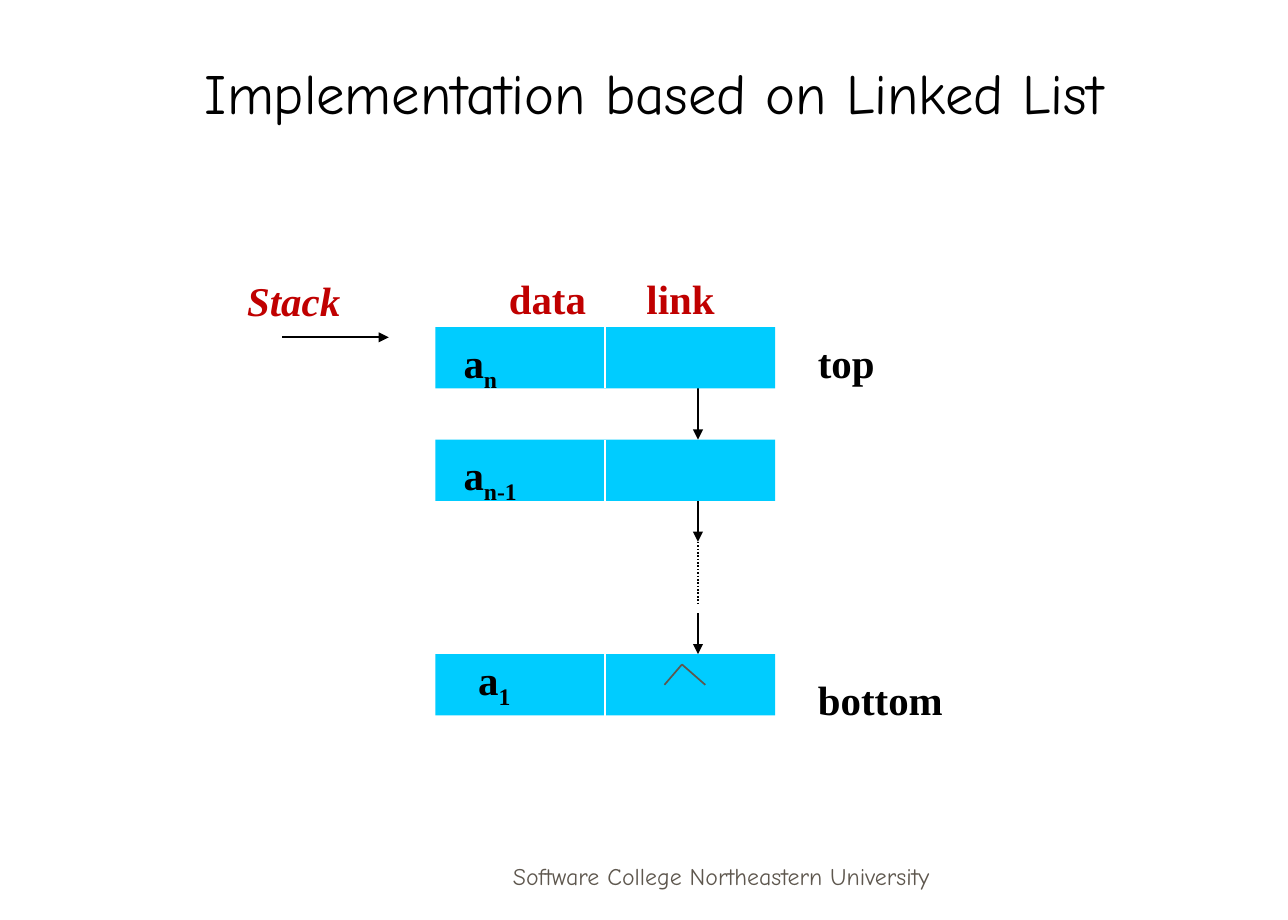
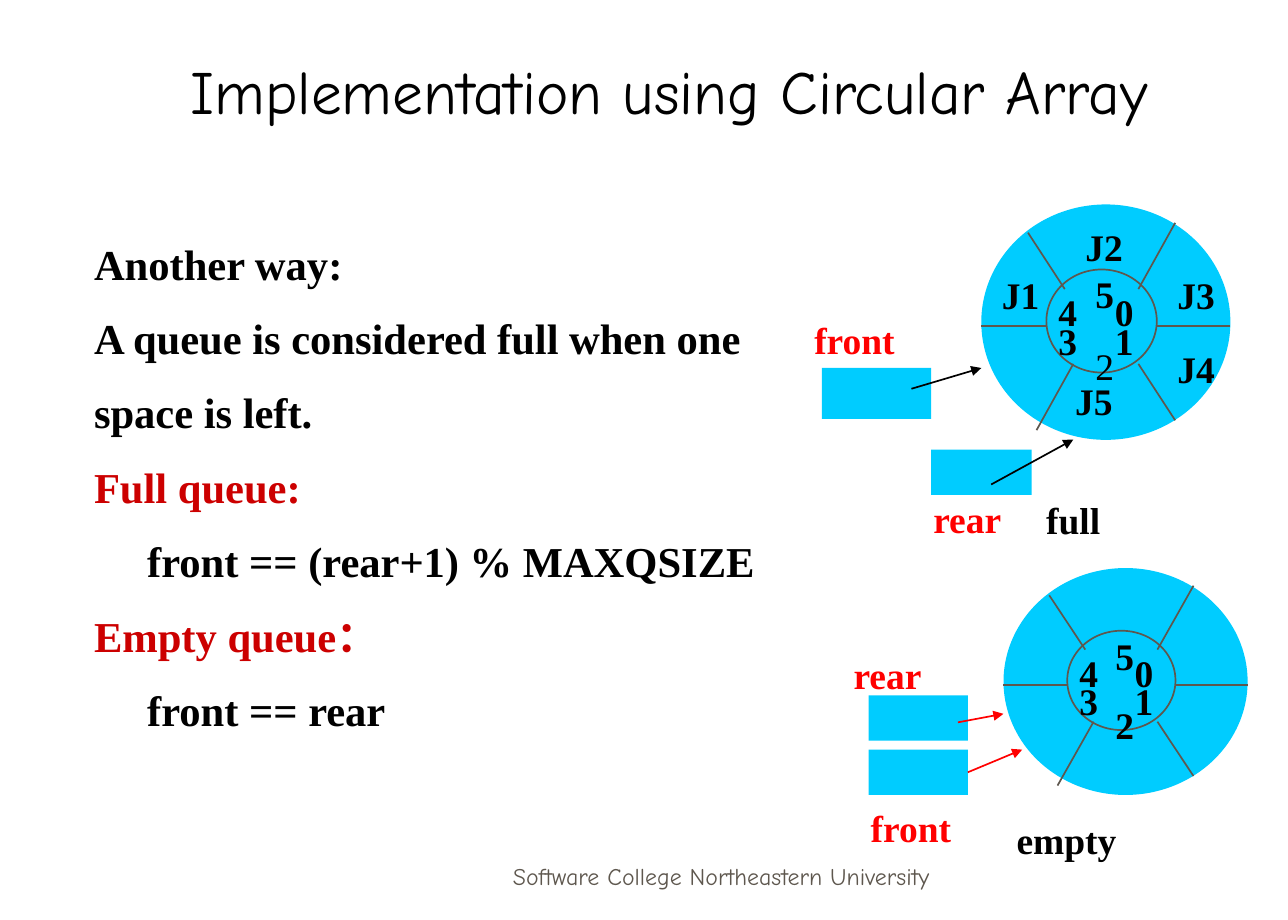
from dataclasses import dataclass
from typing import Optional

from lxml.etree import SubElement
from pptx import Presentation
from pptx.dml.color import RGBColor
from pptx.enum.dml import MSO_LINE
from pptx.enum.shapes import MSO_CONNECTOR, MSO_SHAPE
from pptx.enum.text import MSO_ANCHOR, MSO_AUTO_SIZE, PP_ALIGN
from pptx.oxml.ns import qn
from pptx.util import Pt

COMIC = "Comic Neue"
TIMES = "Times New Roman"
BLACK = "000000"
WHITE = "FFFFFF"
CYAN = "00CCFF"
GREY = "5E574E"
RED = "FF0000"
CRIMSON = "C00000"
HEADING_RED = "CC0000"

TITLE_ONLY = 5
TITLE_AND_CONTENT = 1


@dataclass(frozen=True)
class Box:
    left: float
    top: float
    width: float
    height: float

    def lengths(self) -> tuple:
        return Pt(self.left), Pt(self.top), Pt(self.width), Pt(self.height)


@dataclass(frozen=True)
class Line:
    x1: float
    y1: float
    x2: float
    y2: float
    color: str = BLACK
    arrow: bool = True
    dotted: bool = False


@dataclass(frozen=True)
class Label:
    text: str
    left: float
    top: float
    color: str = BLACK
    bold: bool = True
    italic: bool = False
    subscript: str = ""


@dataclass(frozen=True)
class Node:
    top: float
    label: Label


@dataclass(frozen=True)
class BodyLine:
    text: str
    color: str = BLACK
    indent: float = 0


FOOTER_BOX = Box(258.5, 490.3, 329.8, 36)
BODY_BOX = Box(48, 126, 540, 337.7)
NODE_LEFT, NODE_WIDTH, NODE_HEIGHT = 255.6, 199.4, 36
LINK_X = 409.7

NODES = [
    Node(258, Label("a", 265, 258, subscript="n-1")),
    Node(384, Label("a", 273.6, 378, subscript="1")),
    Node(192, Label("a", 265, 192, subscript="n")),
]
LIST_LINES = [
    Line(LINK_X, 216, LINK_X, 258),
    Line(LINK_X, 276, LINK_X, 318),
    Line(LINK_X, 360, LINK_X, 384),
    Line(LINK_X, 318, LINK_X, 354, arrow=False, dotted=True),
    Line(165.6, 198, 228.2, 198),
]
NULL_MARK = [
    Line(390, 402, 400.3, 390, GREY, arrow=False),
    Line(400.3, 390, 414, 402, GREY, arrow=False),
]
LIST_LABELS = [
    Label("data", 291.6, 154.8, CRIMSON),
    Label("link", 372.4, 154.8, CRIMSON),
    Label("Stack", 138, 156, CRIMSON, italic=True),
    Label("top", 473, 192),
    Label("bottom", 473, 390),
]

BODY_LINES = [
    BodyLine("Another way:"),
    BodyLine("A queue is considered full when one"),
    BodyLine("space is left."),
    BodyLine("Full queue:", HEADING_RED),
    BodyLine("front == (rear+1) % MAXQSIZE", indent=31.25),
    BodyLine("Empty queue：", HEADING_RED),
    BodyLine("front == rear", indent=31.25),
]
FULL_WHEEL = Box(576, 120, 146.2, 138.2)
EMPTY_WHEEL = Box(589, 333.4, 143.3, 133.2)
HUB = Box(38.2, 38.2, 64.8, 60.5)
SPOKES = [
    (38.2, 71.3, 0, 71.3),
    (103, 71.3, 146.2, 71.3),
    (27.4, 16.6, 49, 49.7),
    (113.8, 10.8, 92.2, 49.7),
    (92.2, 93.6, 113.8, 126.7),
    (54, 93.6, 32.4, 132.5),
]
DIGITS = [
    ("5", 59.8, 33.1),
    ("4", 38.2, 43.9),
    ("0", 71.3, 43.9),
    ("3", 38.2, 60.5),
    ("1", 71.3, 60.5),
    ("2", 59.8, 75.6),
]
FULL_POINTERS = [Box(482.4, 216, 64.1, 30), Box(546.5, 264, 59, 26.6)]
REAR_POINTER = Box(509.8, 408.2, 58.3, 26.6)
FRONT_POINTER = Box(509.8, 440, 58.3, 26.6)
QUEUE_LINES = [
    Line(535, 228.2, 576, 216),
    Line(581.8, 284.4, 630, 258),
    Line(562.3, 424, 589, 419, RED),
]
QUEUE_LABELS = [
    Label("J1", 581, 153.4),
    Label("J2", 630, 125.3),
    Label("J3", 684, 153.4),
    Label("J4", 684, 197.3),
    Label("J5", 624, 216),
    Label("front", 470.9, 180, RED),
    Label("rear", 540.7, 285, RED),
    Label("full", 607, 285.8),
    Label("rear", 493.9, 376.6, RED),
    Label("front", 504, 466.6, RED),
    Label("empty", 589.6, 473.8),
]


def rgb(color: str) -> RGBColor:
    return RGBColor.from_string(color)


def write(paragraph, text: str, *, size: float, color: str = BLACK, font: str = TIMES,
          bold: bool = False, italic: bool = False, baseline: int = 0) -> None:
    run = paragraph.add_run()
    run.text = text
    run.font.name = font
    run.font.size = Pt(size)
    run.font.color.rgb = rgb(color)
    run.font.bold = bold
    run.font.italic = italic
    if baseline:
        run.font._element.set("baseline", str(baseline * 1000))


def place(shape, box: Box) -> None:
    shape.left, shape.top, shape.width, shape.height = box.lengths()


def add_slide(presentation, layout: int, title: str, title_box: Box,
              size: float, spacing: float = 1.0):
    slide = presentation.slides.add_slide(presentation.slide_layouts[layout])
    heading = slide.shapes.title
    place(heading, title_box)
    frame = heading.text_frame
    frame.auto_size = MSO_AUTO_SIZE.NONE
    frame.vertical_anchor = MSO_ANCHOR.BOTTOM
    paragraph = frame.paragraphs[0]
    paragraph.alignment = PP_ALIGN.CENTER
    paragraph.line_spacing = spacing
    write(paragraph, title, size=size, font=COMIC)

    footer = slide.shapes.add_textbox(*FOOTER_BOX.lengths()).text_frame
    footer.word_wrap = True
    footer.vertical_anchor = MSO_ANCHOR.BOTTOM
    footer.paragraphs[0].alignment = PP_ALIGN.CENTER
    write(footer.paragraphs[0], "Software College Northeastern University",
          size=14, color=GREY, font=COMIC)
    return slide


def add_label(slide, label: Label, size: float) -> None:
    width = size * (1.5 + 0.6 * len(label.text + label.subscript))
    box = Box(label.left, label.top, round(width, 2), size * 1.5)
    frame = slide.shapes.add_textbox(*box.lengths()).text_frame
    frame.word_wrap = True
    frame.margin_top = Pt(6)
    paragraph = frame.paragraphs[0]
    write(paragraph, label.text, size=size, color=label.color,
          bold=label.bold, italic=label.italic)
    if label.subscript:
        write(paragraph, label.subscript, size=size, color=label.color,
              bold=label.bold, baseline=-25)


def add_block(slide, kind: MSO_SHAPE, box: Box, outline: Optional[str] = None):
    shape = slide.shapes.add_shape(kind, *box.lengths())
    shape.shadow.inherit = False
    shape.fill.solid()
    shape.fill.fore_color.rgb = rgb(CYAN)
    if outline:
        shape.line.color.rgb = rgb(outline)
        shape.line.width = Pt(1)
    else:
        shape.line.fill.background()
    return shape


def add_line(slide, line: Line):
    connector = slide.shapes.add_connector(
        MSO_CONNECTOR.STRAIGHT, Pt(line.x1), Pt(line.y1), Pt(line.x2), Pt(line.y2))
    connector.line.color.rgb = rgb(line.color)
    connector.line.width = Pt(1)
    if line.dotted:
        connector.line.dash_style = MSO_LINE.ROUND_DOT
    if line.arrow:
        SubElement(connector.line._get_or_add_ln(), qn("a:tailEnd"), type="triangle")
    SubElement(connector._element.spPr, qn("a:effectLst"))
    return connector


def add_node(slide, node: Node) -> None:
    box = Box(NODE_LEFT, node.top, NODE_WIDTH, NODE_HEIGHT)
    block = add_block(slide, MSO_SHAPE.RECTANGLE, box)
    middle = NODE_LEFT + NODE_WIDTH / 2
    divider = add_line(slide, Line(middle, node.top, middle, node.top + NODE_HEIGHT,
                                   WHITE, arrow=False))
    divider.begin_connect(block, 0)
    divider.end_connect(block, 2)
    add_label(slide, node.label, 24)


def add_wheel(slide, wheel: Box, plain_digits: str = "") -> None:
    scale_x = wheel.width / FULL_WHEEL.width
    scale_y = wheel.height / FULL_WHEEL.height

    def spot(x: float, y: float) -> tuple[float, float]:
        return wheel.left + x * scale_x, wheel.top + y * scale_y

    add_block(slide, MSO_SHAPE.OVAL, wheel)
    hub = Box(*spot(HUB.left, HUB.top), HUB.width * scale_x, HUB.height * scale_y)
    add_block(slide, MSO_SHAPE.OVAL, hub, GREY)
    for x1, y1, x2, y2 in SPOKES:
        add_line(slide, Line(*spot(x1, y1), *spot(x2, y2), GREY, arrow=False))
    for digit, x, y in DIGITS:
        add_label(slide, Label(digit, *spot(x, y), bold=digit not in plain_digits), 22)


def fill_body(body) -> None:
    place(body, BODY_BOX)
    frame = body.text_frame
    frame.auto_size = MSO_AUTO_SIZE.NONE
    frame.margin_top = Pt(9)
    for index, line in enumerate(BODY_LINES):
        paragraph = frame.add_paragraph() if index else frame.paragraphs[0]
        paragraph.line_spacing = 1.15
        paragraph.space_before = Pt(0)
        paragraph.space_after = Pt(9.2)
        properties = paragraph._p.get_or_add_pPr()
        properties.set("marL", str(Pt(line.indent)))
        properties.set("indent", "0")
        SubElement(properties, qn("a:buNone"))
        write(paragraph, line.text, size=25, color=line.color, bold=True)


def build_linked_list(presentation) -> None:
    slide = add_slide(presentation, TITLE_ONLY, "Implementation based on Linked List",
                      Box(60, 30, 648.7, 48), 33.3, 0.9)
    for line in LIST_LINES:
        add_line(slide, line)
    for label in LIST_LABELS:
        add_label(slide, label, 24)
    for node in NODES:
        add_node(slide, node)
    for line in NULL_MARK:
        add_line(slide, line)


def build_circular_array(presentation) -> None:
    slide = add_slide(presentation, TITLE_AND_CONTENT, "Implementation using Circular Array",
                      Box(71.3, 18, 643, 60), 36)
    fill_body(slide.placeholders[1])
    for box in FULL_POINTERS + [REAR_POINTER]:
        add_block(slide, MSO_SHAPE.RECTANGLE, box)
    front = add_block(slide, MSO_SHAPE.RECTANGLE, FRONT_POINTER)
    add_wheel(slide, FULL_WHEEL, plain_digits="2")
    add_wheel(slide, EMPTY_WHEEL)
    for line in QUEUE_LINES:
        add_line(slide, line)
    add_line(slide, Line(568, 453.3, 600, 440, RED)).begin_connect(front, 3)
    for label in QUEUE_LABELS:
        add_label(slide, label, 22)


def main() -> None:
    presentation = Presentation()
    presentation.slide_width, presentation.slide_height = Pt(756), Pt(540)
    build_linked_list(presentation)
    build_circular_array(presentation)
    presentation.save("out.pptx")


if __name__ == "__main__":
    main()
